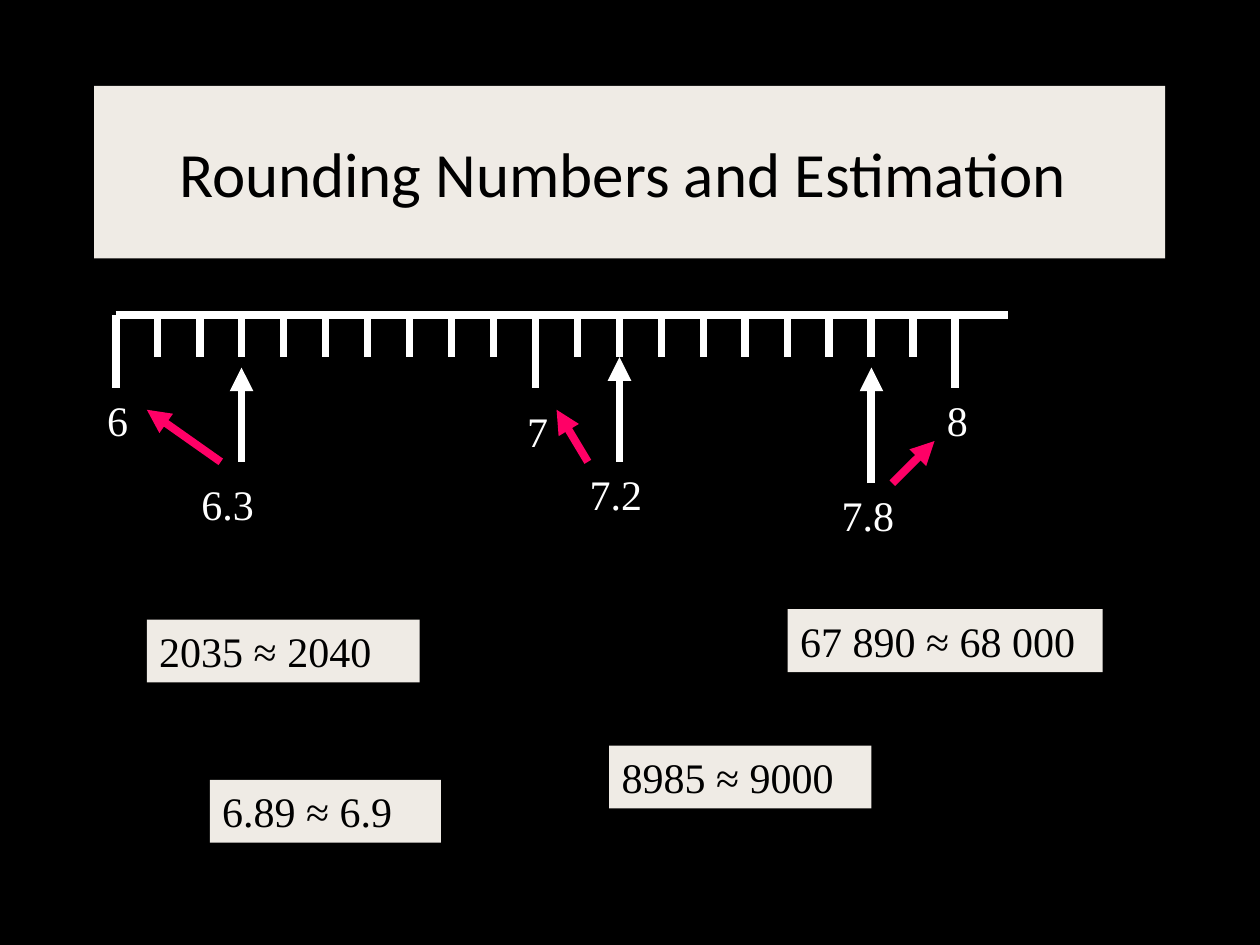
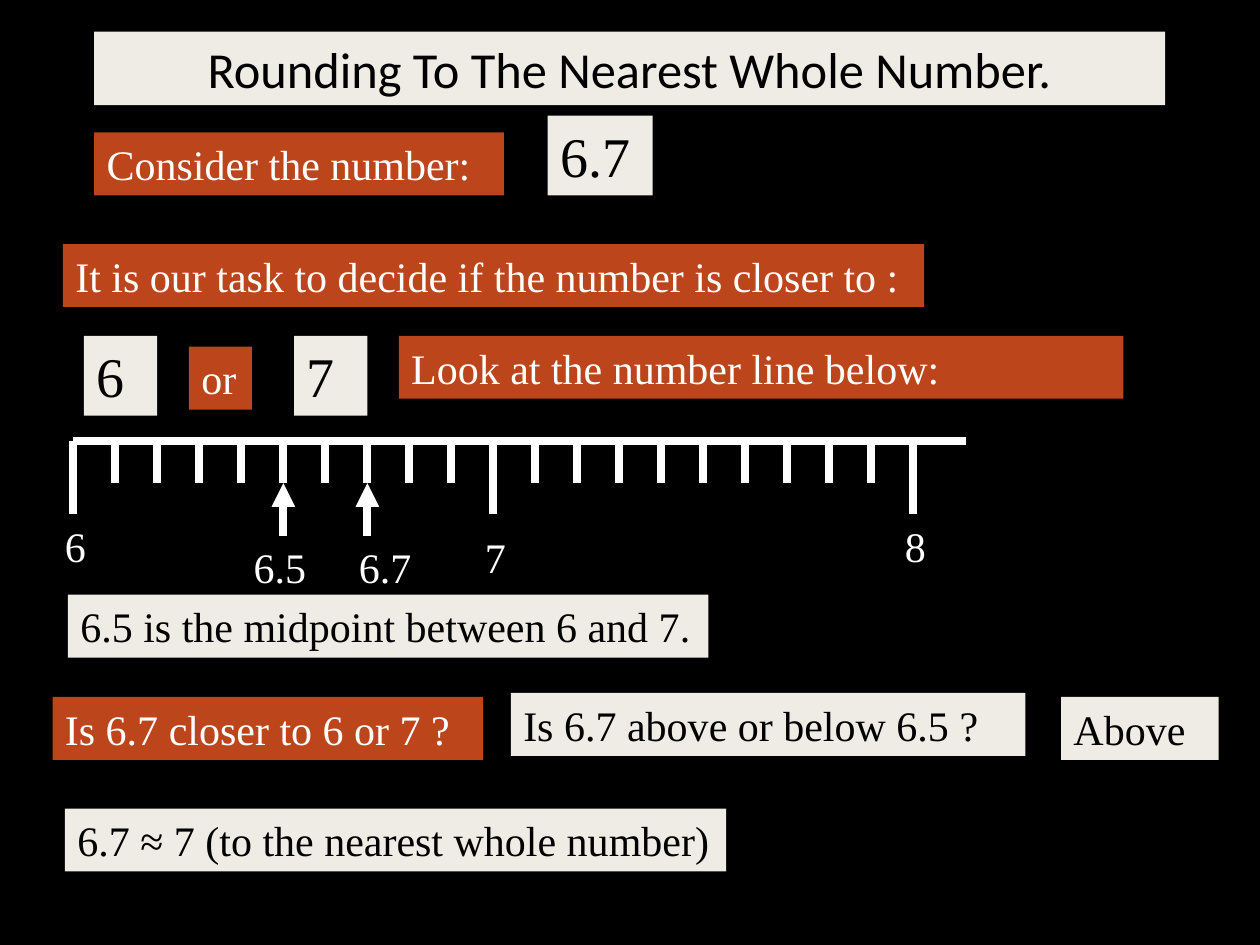
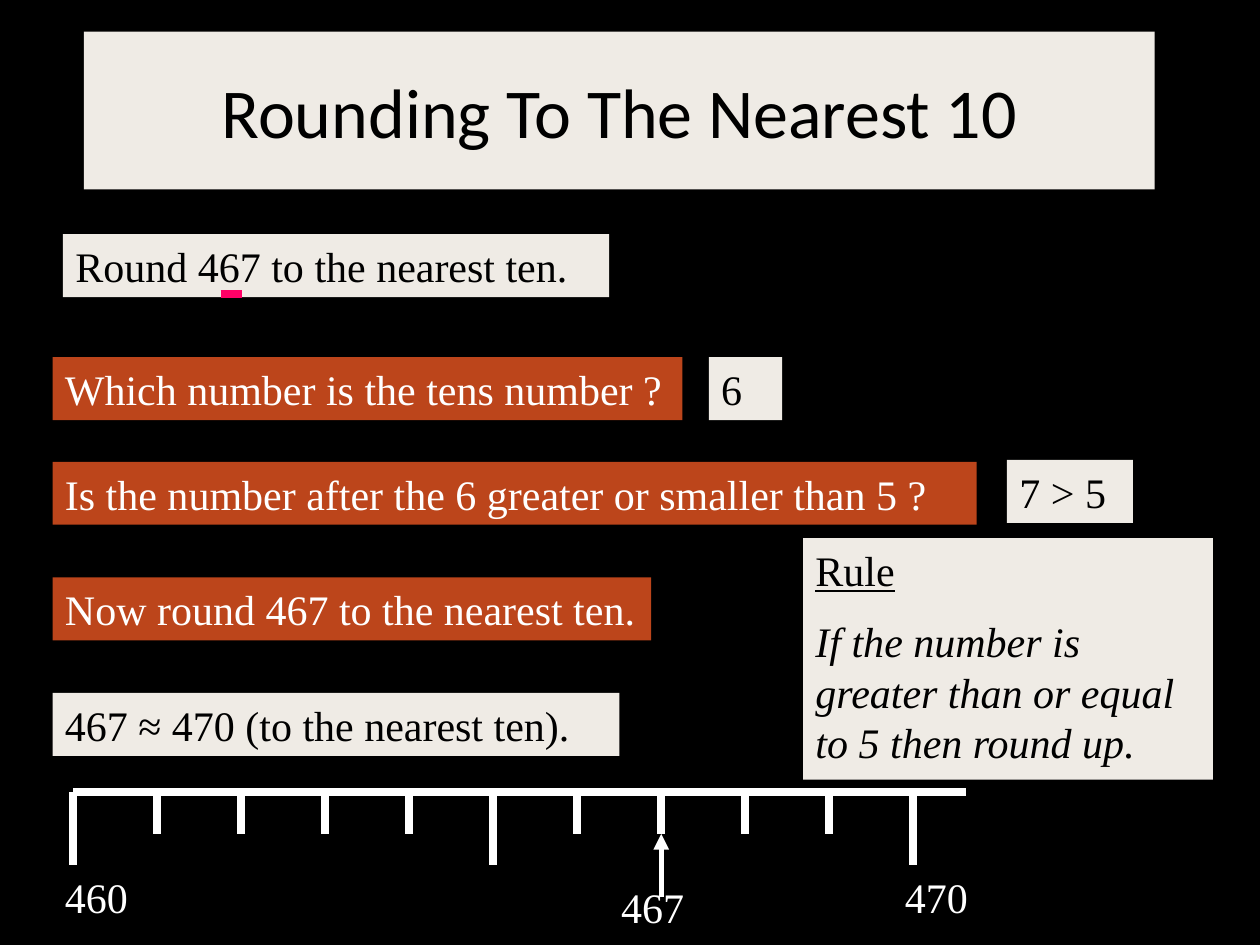
from lxml import etree
from pptx import Presentation
from pptx.dml.color import RGBColor
from pptx.enum.shapes import MSO_CONNECTOR, MSO_SHAPE
from pptx.enum.text import MSO_ANCHOR, PP_ALIGN
from pptx.oxml.ns import qn
from pptx.util import Cm, Pt

RECTANGLE = MSO_SHAPE.RECTANGLE
STRAIGHT = MSO_CONNECTOR.STRAIGHT
TOP, MIDDLE = MSO_ANCHOR.TOP, MSO_ANCHOR.MIDDLE
LEFT, CENTER = PP_ALIGN.LEFT, PP_ALIGN.CENTER

COLORS = {
    "black": "000000",
    "white": "FFFFFF",
    "cream": "EFEBE5",
    "rust": "BC451B",
    "pink": "FF0066",
}
BODY = {"name": "Times New Roman", "size": Pt(24)}
BIG = {"size": Pt(32)}
AXIS_SPAN = 16.93
AXIS_LENGTH = 17.99
SHORT_TICK = 0.85
LONG_TICK = 1.48
CARD_HEIGHT = 1.27


def color(name):
    return RGBColor.from_string(COLORS[name])


class Deck:
    def __init__(self):
        self.presentation = Presentation()
        self.presentation.slide_width = Cm(25.4)
        self.presentation.slide_height = Cm(19.05)
        self.slide = None

    def new_slide(self):
        layout = self.presentation.slide_layouts[6]
        self.slide = self.presentation.slides.add_slide(layout)
        background = self.slide.background.fill
        background.solid()
        background.fore_color.rgb = color("black")

    def fill_paragraph(self, paragraph, text, ink, align=LEFT, **formats):
        paragraph.text = text
        paragraph.alignment = align
        for attribute, value in {**BODY, **formats}.items():
            setattr(paragraph.font, attribute, value)
        paragraph.font.color.rgb = color(ink)

    def panel(self, left, top, width, height, fill, anchor=TOP):
        panel = self.slide.shapes.add_shape(
            RECTANGLE, Cm(left), Cm(top), Cm(width), Cm(height))
        panel.shadow.inherit = False
        panel.fill.solid()
        panel.fill.fore_color.rgb = color(fill)
        panel.line.fill.background()
        panel.text_frame.word_wrap = True
        panel.text_frame.vertical_anchor = anchor
        return panel.text_frame

    def title(self, text, left, top, height, size):
        frame = self.panel(left, top, 21.59, height, "cream", MIDDLE)
        self.fill_paragraph(frame.paragraphs[0], text, "black", CENTER,
                            name="Calibri", size=Pt(size))

    def card(self, text, left, top, width, height=CARD_HEIGHT,
             fill="cream", ink="black", **formats):
        frame = self.panel(left, top, width, height, fill)
        self.fill_paragraph(frame.paragraphs[0], text, ink, **formats)
        return frame

    def prompt(self, text, left, top, width):
        self.card(text, left, top, width, fill="rust", ink="white")

    def label(self, text, left, top):
        box = self.slide.shapes.add_textbox(
            Cm(left), Cm(top), Cm(2.5), Cm(CARD_HEIGHT))
        box.text_frame.word_wrap = True
        self.fill_paragraph(box.text_frame.paragraphs[0], text, "white")

    def line(self, start, end, ink="white", width=4.5, arrow=False):
        connector = self.slide.shapes.add_connector(
            STRAIGHT, *[Cm(value) for value in (*start, *end)])
        connector.line.color.rgb = color(ink)
        connector.line.width = Pt(width)
        properties = connector._element.spPr
        if arrow:
            outline = properties.get_or_add_ln()
            etree.SubElement(outline, qn("a:tailEnd"), type="triangle")
        etree.SubElement(properties, qn("a:effectLst"))

    def number_line(self, left, top, steps, labels):
        ticks = [left + AXIS_SPAN * step / steps for step in range(steps + 1)]
        self.line((left, top), (left + AXIS_LENGTH, top))
        for step, x in enumerate(ticks):
            is_long = step % (steps // 2) == 0
            self.line((x, top), (x, top + (LONG_TICK if is_long else SHORT_TICK)))
        for step, text in labels.items():
            drop = 0.21 if step == steps // 2 else 0
            self.label(text, ticks[step] - 0.42, top + LONG_TICK + drop)
        return ticks

    def pointer(self, text, x, shift, label_top, base, tip, width=4.5):
        self.label(text, x - shift, label_top)
        self.line((x, base), (x, tip), width=width, arrow=True)


def overview(deck):
    deck.new_slide()
    deck.title("Rounding Numbers and Estimation ", 1.9, 1.73, 3.48, 36)
    ticks = deck.number_line(2.33, 6.35, 20, {0: "6", 10: "7", 20: "8"})
    for text, step, shift, label_top, base, tip in [
        ("6.3", 3, 1.06, 9.53, 9.31, 7.41),
        ("7.2", 12, 0.85, 9.31, 9.31, 7.2),
        ("7.8", 18, 0.85, 9.74, 9.74, 7.41),
    ]:
        deck.pointer(text, ticks[step], shift, label_top, base, tip)
    for start, end in [
        ((4.45, 9.31), (2.96, 8.26)),
        ((11.85, 9.31), (11.22, 8.26)),
        ((17.99, 9.74), (18.84, 8.89)),
    ]:
        deck.line(start, end, "pink", arrow=True)
    for example in [
        ("2035 ≈ 2040", 2.96, 12.49, 5.5),
        ("8985 ≈ 9000", 12.28, 15.03, 5.29),
        ("6.89 ≈ 6.9", 4.23, 15.72, 4.66),
        ("67 890 ≈ 68 000", 15.88, 12.28, 6.35),
    ]:
        deck.card(*example)


def nearest_whole(deck):
    deck.new_slide()
    deck.title("Rounding To The Nearest Whole Number.", 1.9, 0.64, 1.48, 28.8)
    for prompt in [
        ("Consider the number:", 1.9, 2.67, 8.26),
        ("It is our task to decide if the number is closer to :", 1.27, 4.92, 17.36),
        ("or", 3.81, 6.99, 1.27),
        ("Look at the number line below:", 8.04, 6.77, 14.61),
        ("Is 6.7 closer to 6 or 7 ?", 1.06, 14.05, 8.68),
    ]:
        deck.prompt(*prompt)
    for number in [
        ("6.7", 11.04, 2.33, 2.12),
        ("6", 1.69, 6.77, 1.48),
        ("7", 5.93, 6.77, 1.48),
    ]:
        deck.card(*number, height=1.61, **BIG)
    ticks = deck.number_line(1.48, 8.89, 20, {0: "6", 10: "7", 20: "8"})
    for text, step, shift in [("6.5", 5, 0.85), ("6.7", 7, 0.42)]:
        deck.pointer(text, ticks[step], shift, 10.8, 10.8, 9.74)
    for answer in [
        ("6.5 is the midpoint between 6 and 7.", 1.37, 11.99, 12.91),
        ("Is 6.7 above or below 6.5 ?", 10.3, 13.97, 10.37),
        ("Above", 21.39, 14.05, 3.18),
        ("6.7 ≈ 7 (to the nearest whole number)", 1.31, 16.3, 13.33),
    ]:
        deck.card(*answer)


def nearest_ten(deck):
    deck.new_slide()
    deck.title("Rounding To The Nearest 10", 1.69, 0.64, 3.18, 40)
    for prompt in [
        ("Which number is the tens number ?", 1.06, 7.2, 12.7),
        ("Is the number after the 6 greater or smaller than 5 ?", 1.06, 9.31, 18.63),
        ("Now round 467 to the nearest ten.", 1.06, 11.64, 12.07),
    ]:
        deck.prompt(*prompt)
    for answer in [
        ("Round 467 to the nearest ten.", 1.27, 4.72, 11.01),
        ("6", 14.29, 7.2, 1.48),
        ("7 > 5", 20.3, 9.27, 2.54),
        ("467 ≈ 470 (to the nearest ten).", 1.06, 13.97, 11.43),
    ]:
        deck.card(*answer)
    deck.line((4.45, 5.92), (4.87, 5.92), "pink")
    rule = deck.card("Rule", 16.19, 10.85, 8.26, 4.87, underline=True)
    explanation = rule.add_paragraph()
    explanation.space_before = Pt(12)
    deck.fill_paragraph(
        explanation,
        "If the number is greater than or equal to 5 then round up.",
        "black", italic=True)
    ticks = deck.number_line(1.48, 15.96, 10, {0: "460", 10: "470"})
    deck.pointer("467", ticks[7], 1.06, 17.65, 18.08, 16.81, 3)


def main():
    deck = Deck()
    overview(deck)
    nearest_whole(deck)
    nearest_ten(deck)
    deck.presentation.save("out.pptx")


if __name__ == "__main__":
    main()
